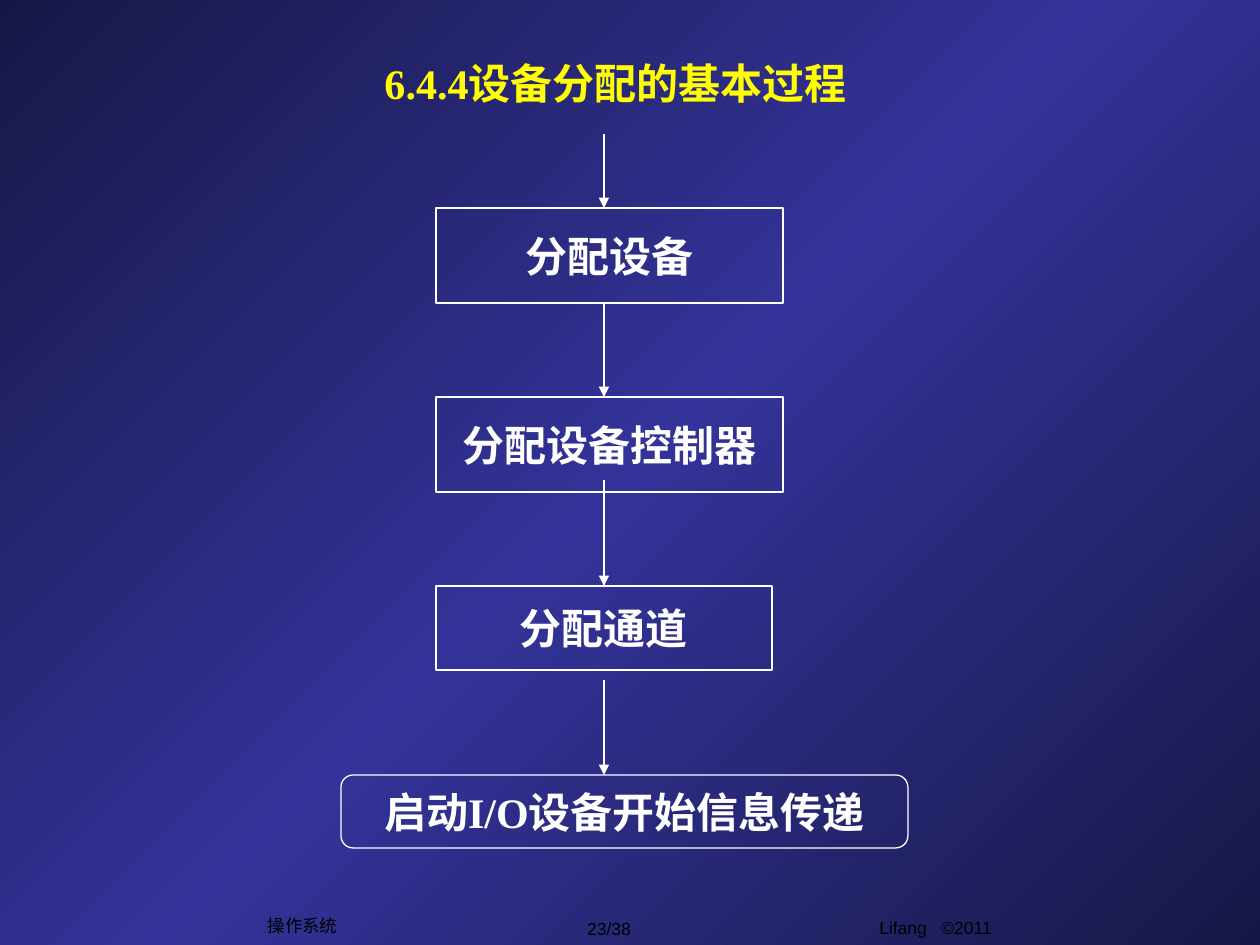
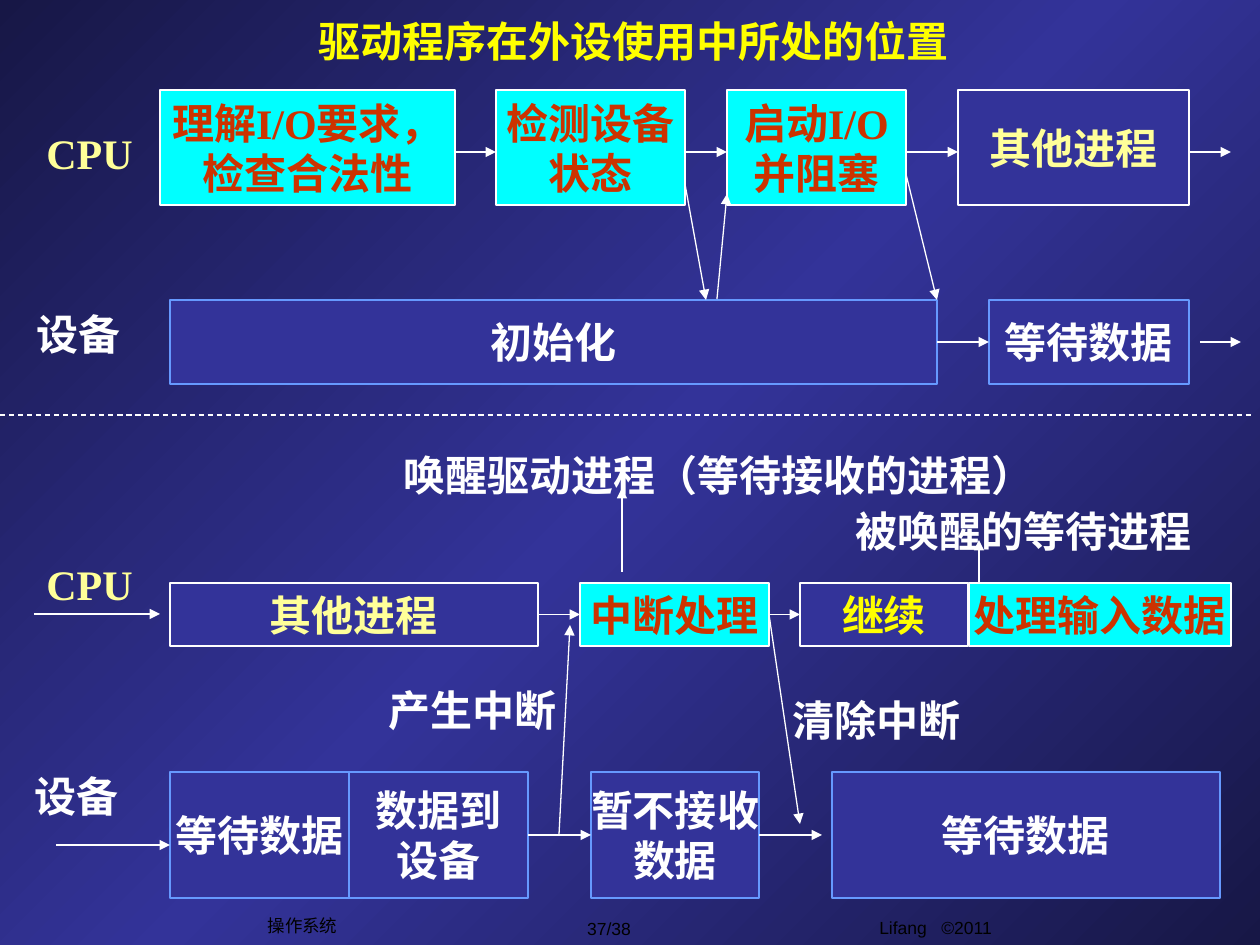
from copy import deepcopy

from lxml import etree
from pptx import Presentation
from pptx.dml.color import RGBColor
from pptx.enum.dml import MSO_LINE
from pptx.enum.shapes import MSO_CONNECTOR, MSO_SHAPE
from pptx.enum.text import MSO_ANCHOR, MSO_AUTO_SIZE, PP_ALIGN
from pptx.oxml.ns import qn
from pptx.util import Pt

RECT, ROUND = MSO_SHAPE.RECTANGLE, MSO_SHAPE.FLOWCHART_ALTERNATE_PROCESS
STRAIGHT, DASH = MSO_CONNECTOR.STRAIGHT, MSO_LINE.DASH
LEFT, CENTER = PP_ALIGN.LEFT, PP_ALIGN.CENTER
TOP, MIDDLE = MSO_ANCHOR.TOP, MSO_ANCHOR.MIDDLE
FIT = MSO_AUTO_SIZE.SHAPE_TO_FIT_TEXT
NORTH, WEST, EAST = 0, 1, 3  # connection sites

WIDTH, HEIGHT, SCALE = 1260, 945, 914400 / 126
WHITE, BLACK, YELLOW, CREAM = "FFFFFF", "000000", "FFFF00", "FFFF99"
NAVY, BLUE, SKY, CYAN, RED = "171746", "333399", "6699FF", "00FFFF", "CC3300"

# Looks of boxes: fill, line, text
CLEAR = (None, WHITE, WHITE)
PROC = (BLUE, WHITE, CREAM)
NEXT = (BLUE, WHITE, YELLOW)
DRIVE = (CYAN, WHITE, RED)
DEVICE = (BLUE, SKY, WHITE)


def px(n):
    return round(n * SCALE)


def rgb(code):
    return RGBColor.from_string(code)


def add_run(para, text, color, size, face, bold):
    run = para.add_run()
    run.text = text
    font = run.font
    font.size, font.name, font.bold = Pt(size), face, bold
    font.color.rgb = rgb(color)
    return run


def write(shape, text, color, align=CENTER, anchor=MIDDLE, wrap=False,
          size=24, face="Times New Roman", bold=True):
    frame = shape.text_frame
    frame.word_wrap, frame.vertical_anchor = wrap, anchor
    for i, line in enumerate(text.split("\n")):
        para = frame.add_paragraph() if i else frame.paragraphs[0]
        para.alignment = align
        add_run(para, line, color, size, face, bold)


class Area:
    """A region of a slide; its parts are placed from its top left corner."""

    def __init__(self, slide, x, y):
        self.shapes, self.x, self.y = slide.shapes, x, y

    def place(self, x, y, w, h):
        return px(self.x + x), px(self.y + y), px(w), px(h)

    def box(self, x, y, w, h, text, look, kind=RECT, group=None):
        shapes = group.shapes if group else self.shapes
        shape = shapes.add_shape(kind, *self.place(x, y, w, h))
        shape.shadow.inherit = False
        fill, line, color = look
        if fill:
            shape.fill.solid()
            shape.fill.fore_color.rgb = rgb(fill)
        else:
            shape.fill.background()
        shape.line.color.rgb = rgb(line)
        shape.line.width = Pt(0.75)
        write(shape, text, color)
        return shape

    def text(self, x, y, w, h, text, color, **style):
        shape = self.shapes.add_textbox(*self.place(x, y, w, h))
        write(shape, text, color, **style)
        return shape

    def note(self, x, y, w, text, color=WHITE):
        shape = self.text(x, y, w, 63, text, color, align=LEFT, anchor=TOP)
        shape.text_frame.auto_size = FIT

    def line(self, x1, y1, x2, y2):
        ends = self.place(x1, y1, 0, 0)[:2] + self.place(x2, y2, 0, 0)[:2]
        line = self.shapes.add_connector(STRAIGHT, *ends)
        line.line.color.rgb = rgb(WHITE)
        line.line.width = Pt(0.75)
        etree.SubElement(line._element.spPr, qn("a:effectLst"))
        return line

    def arrow(self, x1, y1, x2, y2, tail=None, head=None):
        """tail and head are (shape, site) pairs to join."""
        line = self.line(x1, y1, x2, y2)
        stroke = line._element.spPr.find(qn("a:ln"))
        etree.SubElement(stroke, qn("a:tailEnd"), type="triangle")
        if tail:
            line.begin_connect(*tail)
        if head:
            line.end_connect(*head)


def paint(master):
    fill = master.background.fill
    fill.gradient()
    stops = master.element.find(".//" + qn("a:gsLst"))
    stops.append(deepcopy(stops[0]))
    for i, (stop, color) in enumerate(zip(fill.gradient_stops,
                                          (NAVY, BLUE, NAVY))):
        stop.position = i / 2
        stop.color.rgb = rgb(color)
    fill.gradient_angle = 135  # 225 degrees clockwise


def footer(slide, page):
    area = Area(slide, 255, 908)
    style = dict(size=10, face="Arial", bold=False)
    area.text(0, 0, 95, 34, "操作系统", BLACK, **style)
    area.text(289, 3, 130, 34, page, BLACK, **style)
    owner = area.text(481, 3, 399, 44, "Lifang", BLACK, anchor=TOP,
                      wrap=True, **style)
    para = owner.text_frame.paragraphs[0]
    gap = add_run(para, " ", BLACK, **style)
    gap._r.get_or_add_rPr().set("spc", "560")  # wide gap before the year
    add_run(para, "©2011", BLACK, **style)


def title(slide, x, y, w, h, text):
    Area(slide, x, y).text(0, 0, w, h, text, YELLOW, wrap=True)


def steps(slide, x, y):
    """Column of steps, each with an arrow from above."""
    area = Area(slide, x, y)
    rows = (
        (0, 95, 347, 95, "分配设备", RECT),
        (168, 95, 347, 95, "分配设备控制器", RECT),
        (346, 95, 336, 84, "分配通道", RECT),
        (546, 0, 567, 73, "启动I/O设备开始信息传递", ROUND),
    )
    mid = 263
    for i, (start, left, w, h, text, kind) in enumerate(rows):
        top = 74 + 189 * i
        step = area.box(left, top, w, h, text, CLEAR, kind)
        joint = (step, NORTH) if left + w / 2 == mid else None
        area.arrow(mid, start, mid, top, head=joint)


def request(slide, x, y):
    """Upper half: the driver starts the device."""
    area = Area(slide, x, y)
    # CPU row
    area.note(34, 31, 120, "CPU", CREAM)
    row = (
        (160, 295, "理解I/O要求，\n检查合法性", DRIVE),
        (496, 189, "检测设备\n状态", DRIVE),
        (727, 179, "启动I/O\n并阻塞", DRIVE),
        (958, 231, "其他进程", PROC),
    )
    stops = [left for left, *_ in row[1:]] + [1231]
    for (left, w, text, look), stop in zip(row, stops):
        area.box(left, 0, w, 115, text, look)
        area.arrow(left + w, 62, stop, 62)
    # Device row
    area.note(24, 212, 120, "设备")
    init = area.box(170, 210, 767, 84, "初始化", DEVICE)
    wait = area.box(989, 210, 200, 84, "等待数据", DEVICE)
    area.arrow(937, 252, 989, 252, (init, EAST), (wait, WEST))
    area.arrow(1200, 252, 1241, 252)
    # Between the rows
    area.arrow(685, 94, 706, 210)
    area.arrow(717, 209, 727, 104)
    area.arrow(906, 84, 937, 210)


def reply(slide, x, y):
    """Lower half: the device interrupts the CPU."""
    area = Area(slide, x, y)
    # CPU row
    area.note(34, 110, 120, "CPU", CREAM)
    top, h = 141, 63
    other = area.box(170, top, 368, h, "其他进程", PROC)
    break_ = area.box(580, top, 189, h, "中断处理", DRIVE)
    group = area.shapes.add_group_shape()
    cont = area.box(800, top, 168, h, "继续", NEXT, group=group)
    area.box(969, top, 262, h, "处理输入数据", DRIVE, group=group)
    mid = 172
    area.arrow(34, mid, 160, mid)
    area.arrow(538, mid, 580, mid, (other, EAST), (break_, WEST))
    area.arrow(769, mid, 800, mid, (break_, EAST), (cont, WEST))
    # Wake-up notes
    area.arrow(979, 140, 979, 98)
    area.note(843, 57, 372, "被唤醒的等待进程")
    area.arrow(622, 130, 622, 46)
    area.note(391, 1, 666, "唤醒驱动进程（等待接收的进程）")
    # Device row
    area.note(22, 322, 120, "设备")
    row = ((170, 179, "等待数据"), (349, 179, "数据到\n设备"),
           (591, 168, "暂不接收\n数据"), (832, 388, "等待数据"))
    _, data, hold, _ = [area.box(left, 330, w, 126, text, DEVICE)
                        for left, w, text in row]
    low = 393
    area.arrow(56, 403, 170, 403)
    area.arrow(528, low, 591, low, (data, EAST), (hold, WEST))
    area.arrow(759, low, 822, low, (hold, EAST))
    # Between the rows
    area.arrow(559, low, 570, 183)
    area.note(376, 236, 204, "产生中断")
    area.arrow(769, mid, 800, 382, (break_, EAST))
    area.note(780, 246, 204, "清除中断")


def main():
    deck = Presentation()
    deck.slide_width, deck.slide_height = px(WIDTH), px(HEIGHT)
    paint(deck.slide_master)
    blank = deck.slide_layouts[6]

    slide = deck.slides.add_slide(blank)
    footer(slide, "23/38")
    steps(slide, 341, 134)
    title(slide, 80, 41, 1071, 84, "6.4.4设备分配的基本过程")

    slide = deck.slides.add_slide(blank)
    footer(slide, "37/38")
    request(slide, 0, 90)
    Area(slide, 0, 415).line(0, 0, 1252, 0).line.dash_style = DASH
    reply(slide, 0, 442)
    title(slide, 94, 19, 1079, 44, "驱动程序在外设使用中所处的位置")

    deck.save("out.pptx")


if __name__ == "__main__":
    main()
